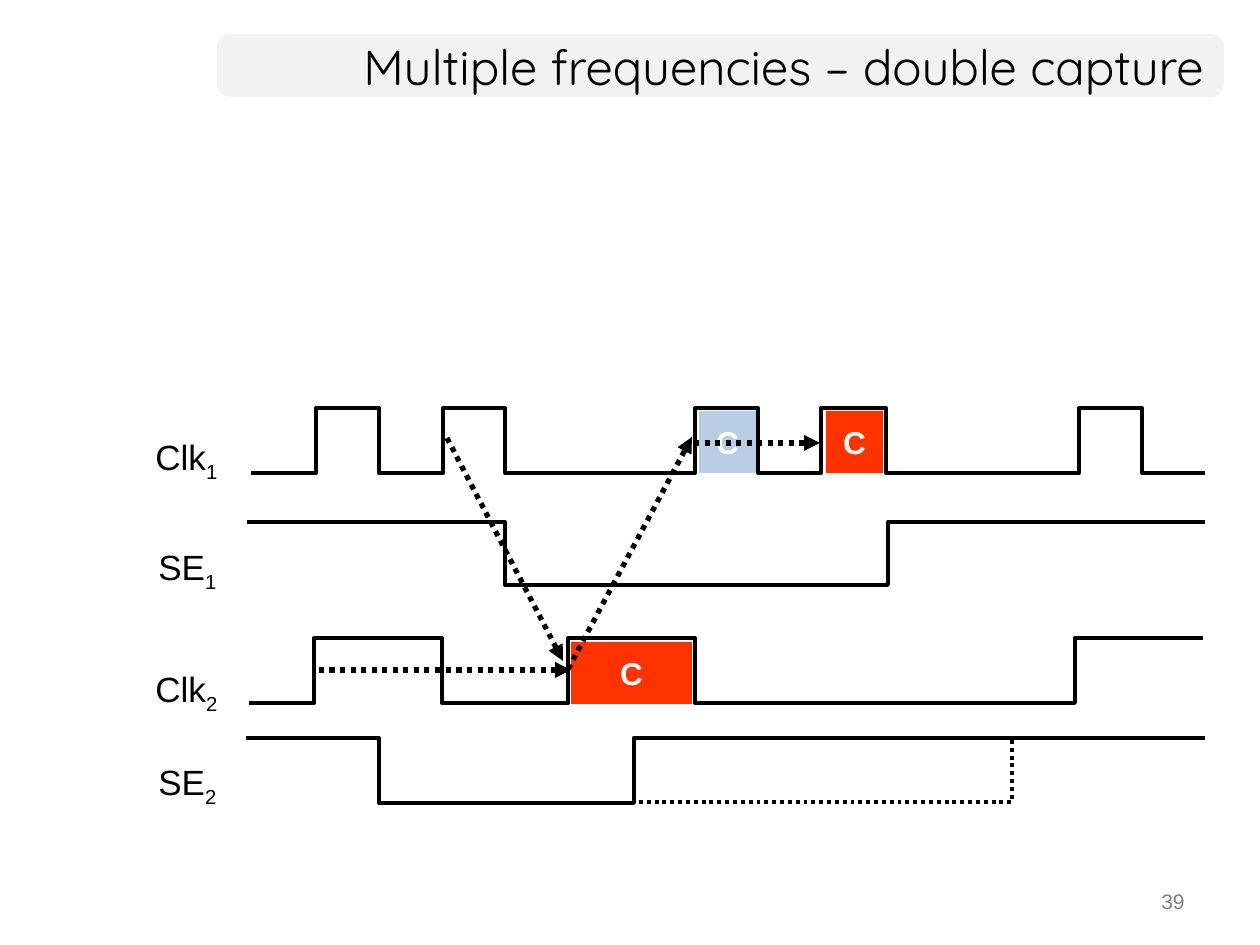
from dataclasses import dataclass

from lxml import etree
from pptx import Presentation
from pptx.dml.color import RGBColor
from pptx.enum.dml import MSO_LINE
from pptx.enum.shapes import MSO_CONNECTOR, MSO_SHAPE
from pptx.enum.text import MSO_ANCHOR, MSO_AUTO_SIZE, PP_ALIGN
from pptx.oxml.ns import qn
from pptx.util import Emu, Pt

SCALE = 914400 / 126  # EMU in one px
DOTS = MSO_LINE.ROUND_DOT
STRAIGHT = MSO_CONNECTOR.STRAIGHT
RECT, ROUND = MSO_SHAPE.RECTANGLE, MSO_SHAPE.ROUNDED_RECTANGLE
TOP, MIDDLE = MSO_ANCHOR.TOP, MSO_ANCHOR.MIDDLE
FIT = MSO_AUTO_SIZE.SHAPE_TO_FIT_TEXT
LEFT, CENTER, RIGHT = PP_ALIGN.LEFT, PP_ALIGN.CENTER, PP_ALIGN.RIGHT


@dataclass(frozen=True)
class Theme:
    ink: str = "000000"
    band: str = "F2F2F2"
    gray: str = "808080"
    white: str = "FFFFFF"
    red: str = "FF3300"
    blue: str = "B9CDE5"
    head: str = "Quicksand"
    body: str = "Arial"
    title: int = 28
    label: int = 20
    mark: int = 18
    page: int = 12
    wave: float = 2.25
    arrow: float = 3


@dataclass(frozen=True)
class Box:
    x: int
    y: int
    w: int
    h: int


@dataclass(frozen=True)
class Wave:
    """A signal that flips between two levels at each edge."""
    name: str
    index: str
    label: Box
    high: int
    low: int
    start: int
    end: int
    edges: tuple[int, ...]
    up: bool


@dataclass(frozen=True)
class Pulse:
    box: Box
    fill: str


@dataclass(frozen=True)
class Arrow:
    x1: int
    y1: int
    x2: int
    y2: int
    head: bool = True


THEME = Theme()
WAVES = (
    Wave("Clk", "1", Box(143, 432, 90, 55), 408, 473, 251, 1205,
         (316, 379, 443, 505, 695, 758, 821, 886, 1079, 1142), False),
    Wave("SE", "1", Box(146, 542, 86, 55), 522, 585, 247, 1205,
         (505, 888), True),
    Wave("Clk", "2", Box(143, 664, 90, 55), 638, 703, 249, 1203,
         (314, 442, 568, 695, 1075), False),
    Wave("SE", "2", Box(146, 757, 86, 55), 738, 803, 246, 1205,
         (379, 634), True),
)
PULSES = (
    Pulse(Box(571, 642, 121, 62), THEME.red),
    Pulse(Box(699, 411, 57, 62), THEME.blue),
    Pulse(Box(826, 411, 57, 62), THEME.red),
)
LATE = [(1012, 740), (1012, 802), (633, 802)]
ARROWS = (
    Arrow(694, 443, 820, 443),
    Arrow(446, 670, 571, 670),
    Arrow(319, 670, 444, 670, False),
    Arrow(447, 438, 563, 661),
    Arrow(568, 669, 692, 437),
)


def px(n: int) -> Emu:
    return Emu(round(n * SCALE))


def place(box: Box) -> tuple[Emu, ...]:
    return px(box.x), px(box.y), px(box.w), px(box.h)


def rgb(code: str) -> RGBColor:
    return RGBColor.from_string(code)


def add_run(para, text: str, size: int, color: str, font: str = THEME.body,
            bold: bool = False, sub: bool = False) -> None:
    run = para.add_run()
    run.text = text
    run.font.size, run.font.name, run.font.bold = Pt(size), font, bold
    run.font.color.rgb = rgb(color)
    if sub:
        run._r.get_or_add_rPr().set("baseline", "-25000")


def set_frame(shape, align, anchor, wrap: bool):
    """Set up the text frame and return its first paragraph."""
    frame = shape.text_frame
    frame.word_wrap, frame.vertical_anchor = wrap, anchor
    para = frame.paragraphs[0]
    para.alignment = align
    return para


def add_text(slide, box: Box, align, anchor, wrap: bool = True):
    return set_frame(slide.shapes.add_textbox(*place(box)), align, anchor, wrap)


def add_block(slide, kind, box: Box, fill: str):
    shape = slide.shapes.add_shape(kind, *place(box))
    shape.shadow.inherit = False
    shape.fill.solid()
    shape.fill.fore_color.rgb = rgb(fill)
    shape.line.fill.background()
    return shape


def add_pulse(slide, pulse: Pulse) -> None:
    shape = add_block(slide, RECT, pulse.box, pulse.fill)
    para = set_frame(shape, CENTER, MIDDLE, False)
    add_run(para, "C", THEME.mark, THEME.white, bold=True)


def add_trace(slide, points: list[tuple[int, int]], dash=None) -> None:
    """Draw an open line through the points."""
    pen = slide.shapes.build_freeform(*points[0], scale=SCALE)
    pen.add_line_segments(points[1:], close=False)
    shape = pen.convert_to_shape()
    shape.shadow.inherit = False
    shape.fill.background()
    shape.line.color.rgb = rgb(THEME.ink)
    shape.line.width = Pt(THEME.wave)
    if dash:
        shape.line.dash_style = dash


def add_wave(slide, wave: Wave) -> None:
    up = wave.up
    points = [(wave.start, wave.high if up else wave.low)]
    for x in wave.edges:
        up = not up
        points += [(x, points[-1][1]), (x, wave.high if up else wave.low)]
    add_trace(slide, points + [(wave.end, points[-1][1])])
    para = add_text(slide, wave.label, LEFT, MIDDLE, False)
    add_run(para, wave.name, THEME.label, THEME.ink)
    add_run(para, wave.index, THEME.label, THEME.ink, sub=True)
    slide.shapes[-1].text_frame.auto_size = FIT


def add_arrow(slide, arrow: Arrow) -> None:
    link = slide.shapes.add_connector(
        STRAIGHT, px(arrow.x1), px(arrow.y1), px(arrow.x2), px(arrow.y2))
    link.line.color.rgb = rgb(THEME.ink)
    link.line.width = Pt(THEME.arrow)
    link.line.dash_style = DOTS
    props = link._element.spPr
    if arrow.head:
        etree.SubElement(props.find(qn("a:ln")), qn("a:tailEnd"), type="triangle")
    etree.SubElement(props, qn("a:effectLst"))


def main() -> None:
    deck = Presentation()
    deck.slide_width, deck.slide_height = px(1260), px(945)
    slide = deck.slides.add_slide(deck.slide_layouts[6])

    band = add_block(slide, ROUND, Box(217, 34, 1007, 63), THEME.band)
    band.adjustments[0] = 0.21
    page = add_text(slide, Box(903, 882, 294, 44), RIGHT, TOP)
    add_run(page, "39", THEME.page, THEME.gray)
    title = add_text(slide, Box(217, 34, 999, 63), RIGHT, MIDDLE)
    add_run(title, "Multiple frequencies – double capture",
            THEME.title, THEME.ink, THEME.head)

    for pulse in PULSES:
        add_pulse(slide, pulse)
    add_trace(slide, LATE, DOTS)
    for wave in WAVES:
        add_wave(slide, wave)
    for arrow in ARROWS:
        add_arrow(slide, arrow)
    deck.save("out.pptx")


if __name__ == "__main__":
    main()
